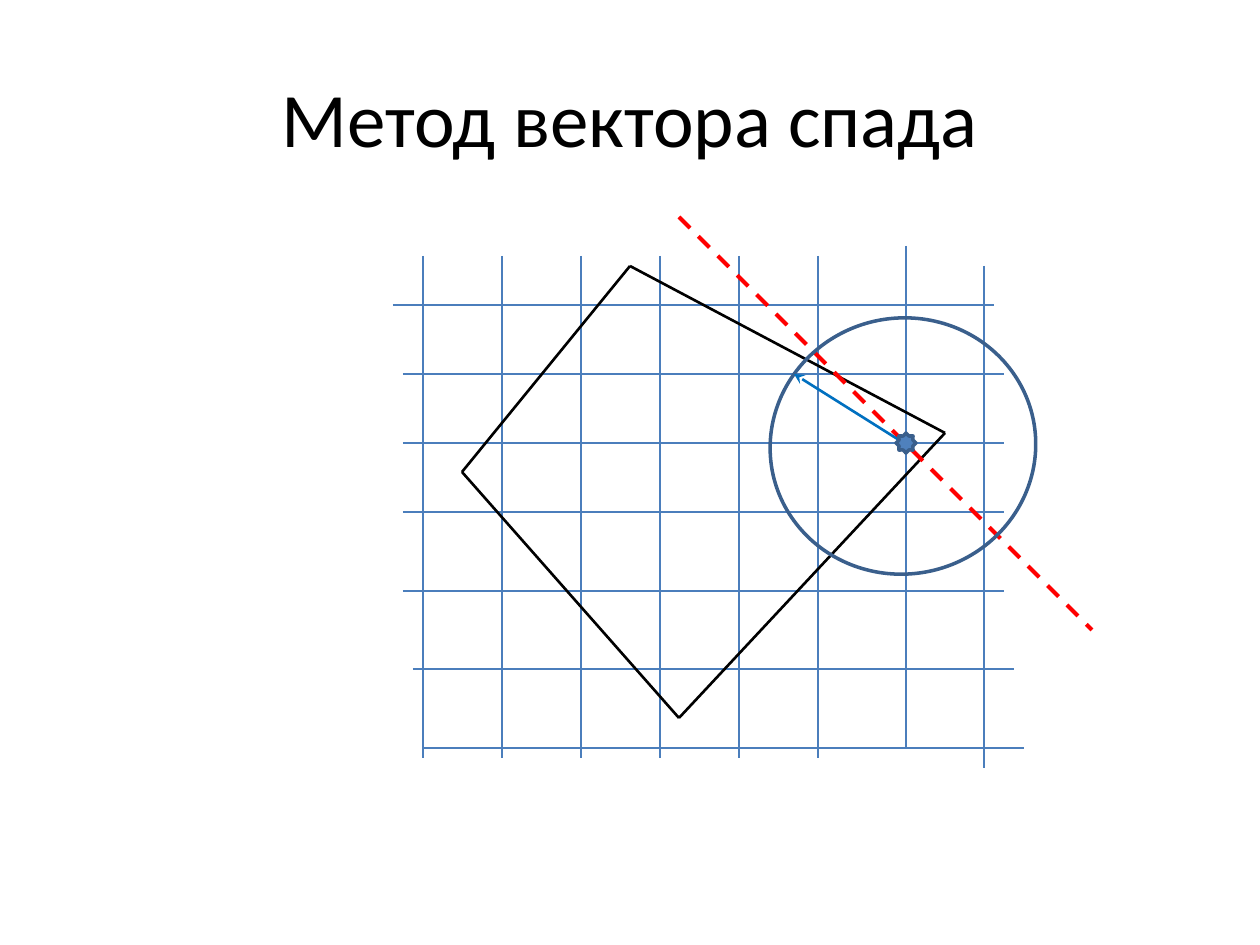
import pptx
import pptx.dml.color
import pptx.enum.dml
import pptx.enum.shapes
import pptx.enum.text
import pptx.oxml.ns
import pptx.util
import lxml.etree

EMU_PER_INCH = 914400
PX_PER_INCH = 126
FONT = "Calibri"
COLORS = {
    "background": "FFFFFF",
    "text": "000000",
    "grid": "4B7EBC",
    "polygon": "000000",
    "divider": "FF0000",
    "outline": "3A5F8C",
    "vector": "0070C0",
    "point": "4F81BD",
}
SHAPE = pptx.enum.shapes.MSO_SHAPE


def px(length):
    return pptx.util.Emu(round(length * EMU_PER_INCH / PX_PER_INCH))


def color(name):
    return pptx.dml.color.RGBColor.from_string(COLORS[name])


def write_text(shape, text, *, size, color_name, align, anchor):
    frame = shape.text_frame
    frame.word_wrap = True
    frame.vertical_anchor = anchor
    paragraph = frame.paragraphs[0]
    paragraph.alignment = align
    run = paragraph.add_run()
    run.text = text
    run.font.name = FONT
    run.font.size = pptx.util.Pt(size)
    run.font.color.rgb = color(color_name)


def add_line(shapes, box, start, end, color_name, width, dash=None, head=None, tail=None):
    left, top = box[:2]
    connector = shapes.add_connector(
        pptx.enum.shapes.MSO_CONNECTOR.STRAIGHT,
        px(left + start[0]), px(top + start[1]),
        px(left + end[0]), px(top + end[1]))
    connector.line.color.rgb = color(color_name)
    connector.line.width = pptx.util.Pt(width)
    if dash:
        connector.line.dash_style = dash
    # Arrowheads and the empty effect list need XML
    properties = connector._element.spPr
    line = properties.find(pptx.oxml.ns.qn("a:ln"))
    for tag, kind in (("a:headEnd", head), ("a:tailEnd", tail)):
        if kind:
            lxml.etree.SubElement(line, pptx.oxml.ns.qn(tag), type=kind)
    lxml.etree.SubElement(properties, pptx.oxml.ns.qn("a:effectLst"))


def add_outlined(shapes, box, kind, area, fill=None, rotation=0):
    left, top, width, height = area
    shape = shapes.add_shape(kind, px(box[0] + left), px(box[1] + top), px(width), px(height))
    shape.shadow.inherit = False
    shape.rotation = rotation
    shape.line.color.rgb = color("outline")
    shape.line.width = pptx.util.Pt(2)
    if fill:
        shape.fill.solid()
        shape.fill.fore_color.rgb = color(fill)
    else:
        shape.fill.background()


def add_title(slide, box, text):
    title = slide.shapes.title
    title.left, title.top, title.width, title.height = map(px, box)
    write_text(title, text, size=44, color_name="text",
               align=pptx.enum.text.PP_ALIGN.CENTER,
               anchor=pptx.enum.text.MSO_ANCHOR.MIDDLE)


def add_grid(slide, box):
    # Six evenly spaced columns, then two shifted ones: (x, top)
    columns = [(30 + 79 * i, 39) for i in range(6)] + [(513, 29), (591, 49)]
    for x, top in columns:
        add_line(slide.shapes, box, (x, top), (x, top + 502), "grid", 0.75)
    # Rows: (left, y)
    rows = [(0, 88), (10, 157), (10, 226), (10, 295), (10, 374), (20, 452), (30, 531)]
    for left, y in rows:
        add_line(slide.shapes, box, (left, y), (left + 601, y), "grid", 0.75)


def add_diagram(slide, box):
    add_grid(slide, box)

    # Feasible region
    corners = [(237, 49), (552, 216), (286, 501), (69, 255)]
    for start, end in zip(corners, corners[1:] + corners[:1]):
        add_line(slide.shapes, box, start, end, "polygon", 1.5)

    # Dividing line
    add_line(slide.shapes, box, (286, 0), (699, 413), "divider", 2.25,
             dash=pptx.enum.dml.MSO_LINE.DASH)

    # Neighbourhood with the descent vector
    group = slide.shapes.add_group_shape()
    add_outlined(group.shapes, box, SHAPE.OVAL, (377, 101, 266, 256), rotation=349.2)
    add_line(group.shapes, box, (514, 228), (401, 157), "vector", 1.5,
             head="oval", tail="stealth")

    # Current point
    add_outlined(slide.shapes, box, SHAPE.STAR_8_POINT, (503, 216, 20, 20), fill="point")


def main():
    presentation = pptx.Presentation()
    presentation.slide_width = px(1260)
    presentation.slide_height = px(945)
    slide = presentation.slides.add_slide(presentation.slide_layouts[5])
    slide.background.fill.solid()
    slide.background.fill.fore_color.rgb = color("background")
    add_title(slide, (63, 38, 1134, 157), "Метод вектора спада")
    add_diagram(slide, (393, 217, 699, 551))
    presentation.save("out.pptx")


if __name__ == "__main__":
    main()
